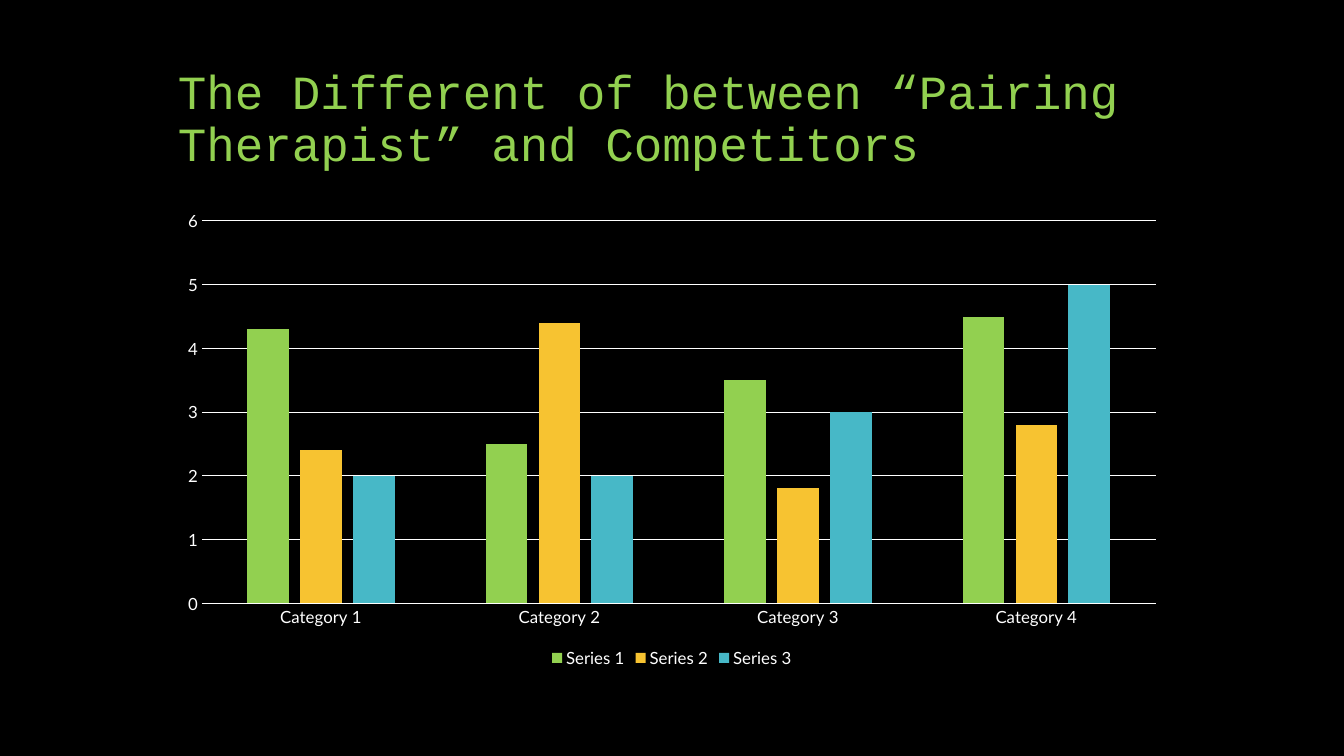
from dataclasses import dataclass

from pptx import Presentation
from pptx.chart import data
from pptx.dml import color
from pptx.enum import chart as kinds, text
from pptx.util import Cm, Pt

COLORS = {
    "back": "000000",
    "white": "FFFFFF",
    "green": "92D050",
    "gold": "F7C331",
    "teal": "47B8C7",
}
LEFT, WIDTH = Cm(4.23), Cm(25.4)


@dataclass
class Series:
    name: str
    values: tuple[float, ...]
    hue: str


SERIES = [
    Series("Series 1", (4.3, 2.5, 3.5, 4.5), "green"),
    Series("Series 2", (2.4, 4.4, 1.8, 2.8), "gold"),
    Series("Series 3", (2, 2, 3, 5), "teal"),
]


def rgb(hue: str) -> color.RGBColor:
    return color.RGBColor.from_string(COLORS[hue])


def paint(fill, hue: str) -> None:
    fill.solid()
    fill.fore_color.rgb = rgb(hue)


def style(font, face: str, size: int, hue: str) -> None:
    font.name = face
    font.size = Pt(size)
    font.color.rgb = rgb(hue)


def rule(line) -> None:
    line.color.rgb = rgb("white")
    line.width = Pt(0.75)


def add_title(slide, words: str) -> None:
    title = slide.shapes.title
    title.left, title.top = LEFT, Cm(1.27)
    title.width, title.height = WIDTH, Cm(3.18)
    frame = title.text_frame
    frame.text = words
    frame.word_wrap = True
    frame.auto_size = text.MSO_AUTO_SIZE.NONE
    frame.vertical_anchor = text.MSO_ANCHOR.BOTTOM
    line = frame.paragraphs[0]
    line.alignment = text.PP_ALIGN.LEFT
    line.line_spacing = 0.9
    style(line.runs[0].font, "Courier New", 34, "green")


def add_columns(slide, rows: list[Series]) -> None:
    table = data.CategoryChartData()
    table.categories = [f"Category {n}" for n in range(1, 5)]
    for row in rows:
        table.add_series(row.name, row.values)
    chart = slide.shapes.add_chart(
        kinds.XL_CHART_TYPE.COLUMN_CLUSTERED,
        LEFT, Cm(5.08), WIDTH, Cm(11.85), table,
    ).chart
    style(chart.font, "Lato", 10, "white")
    chart.has_title = False

    plot = chart.plots[0]
    plot.gap_width, plot.overlap = 219, -27
    plot.vary_by_categories = False
    for bars, row in zip(plot.series, rows):
        paint(bars.format.fill, row.hue)

    for axis in (chart.category_axis, chart.value_axis):
        axis.major_tick_mark = kinds.XL_TICK_MARK.NONE
        axis.minor_tick_mark = kinds.XL_TICK_MARK.NONE
        style(axis.tick_labels.font, "Lato", 12, "white")
    rule(chart.category_axis.format.line)
    scale = chart.value_axis
    scale.minimum_scale, scale.maximum_scale, scale.major_unit = 0, 6, 1
    scale.format.line.fill.background()
    scale.has_major_gridlines = True
    rule(scale.major_gridlines.format.line)

    chart.has_legend = True
    chart.legend.position = kinds.XL_LEGEND_POSITION.BOTTOM
    chart.legend.include_in_layout = False
    style(chart.legend.font, "Lato", 12, "white")


def main() -> None:
    deck = Presentation()
    deck.slide_width, deck.slide_height = Cm(33.87), Cm(19.05)
    slide = deck.slides.add_slide(deck.slide_layouts[5])
    paint(slide.background.fill, "back")
    add_title(slide, "The Different of between “Pairing Therapist” and Competitors")
    add_columns(slide, SERIES)
    deck.save("out.pptx")


if __name__ == "__main__":
    main()
